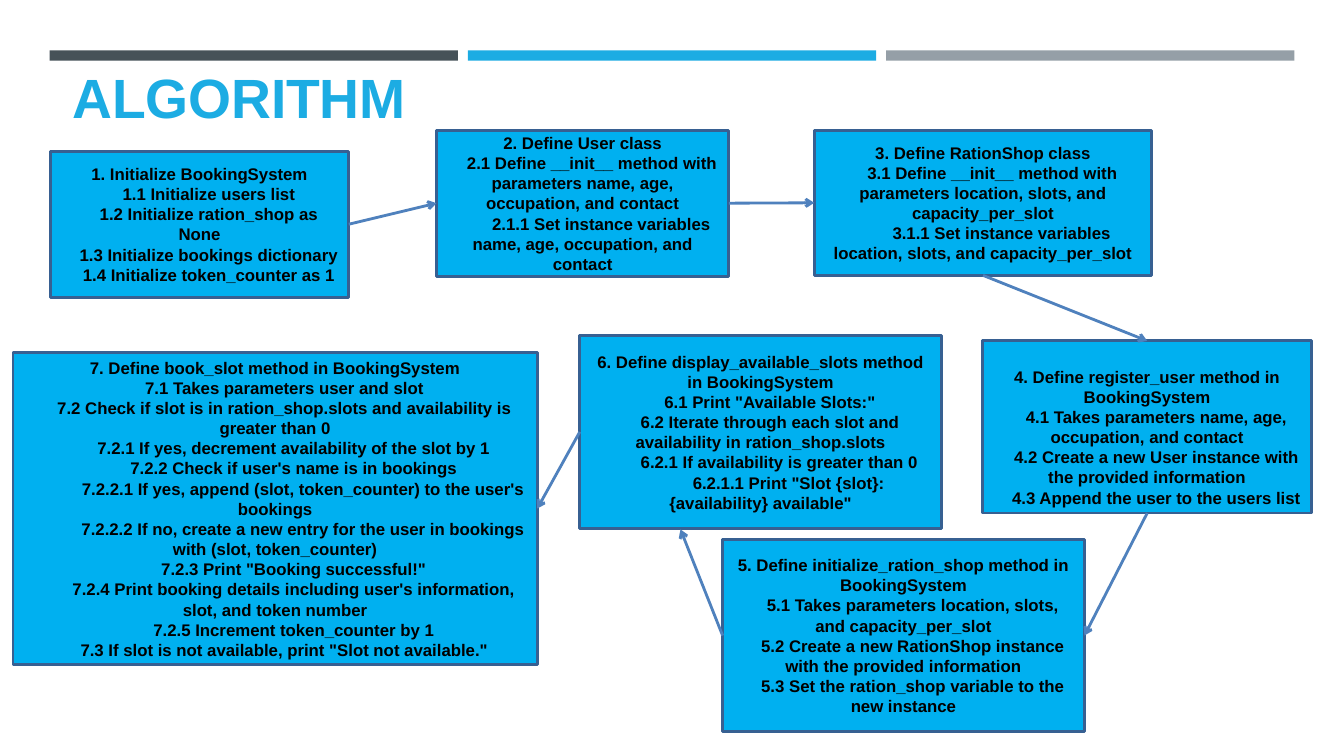
from lxml import etree
from pptx import Presentation
from pptx.dml.color import RGBColor
from pptx.enum.shapes import MSO_CONNECTOR, MSO_SHAPE
from pptx.enum.text import MSO_ANCHOR, PP_ALIGN
from pptx.oxml.ns import qn
from pptx.util import Cm, Pt

RECT = MSO_SHAPE.RECTANGLE
STRAIGHT = MSO_CONNECTOR.STRAIGHT
MIDDLE = MSO_ANCHOR.MIDDLE
CENTER = PP_ALIGN.CENTER
TOP, LEFT, BOTTOM, RIGHT = range(4)

FONT = "Arial"
COLORS = {
    "title": "1CACE3",
    "box": "00B0F0",
    "border": "376092",
    "text": "000000",
    "arrow": "4F81BD",
}
BAR_COLORS = ["465258", "1CACE3", "959FA7"]
TITLE = "ALGORITHM"

STEPS = [
    ((1.27, 3.81, 7.52, 3.68), [
        "1. Initialize BookingSystem",
        "1.1 Initialize users list",
        "1.2 Initialize ration_shop as None",
        "1.3 Initialize bookings dictionary",
        "1.4 Initialize token_counter as 1",
    ]),
    ((11, 3.28, 7.37, 3.68), [
        "2. Define User class",
        "2.1 Define __init__ method with parameters name, age, occupation, and contact",
        "2.1.1 Set instance variables name, age, occupation, and contact",
    ]),
    ((20.52, 3.28, 8.51, 3.66), [
        "3. Define RationShop class",
        "3.1 Define __init__ method with parameters location, slots, and capacity_per_slot",
        "3.1.1 Set instance variables location, slots, and capacity_per_slot",
    ]),
    ((24.77, 8.59, 8.28, 4.34), [
        "4. Define register_user method in BookingSystem",
        "4.1 Takes parameters name, age, occupation, and contact",
        "4.2 Create a new User instance with the provided information",
        "4.3 Append the user to the users list",
    ]),
    ((18.21, 13.59, 9.12, 4.85), [
        "5. Define initialize_ration_shop method in BookingSystem",
        "5.1 Takes parameters location, slots, and capacity_per_slot",
        "5.2 Create a new RationShop instance with the provided information",
        "5.3 Set the ration_shop variable to the new instance",
    ]),
    ((14.61, 8.46, 9.12, 4.85), [
        "6. Define display_available_slots method in BookingSystem",
        '6.1 Print "Available Slots:"',
        "6.2 Iterate through each slot and availability in ration_shop.slots",
        "6.2.1 If availability is greater than 0",
        '6.2.1.1 Print "Slot {slot}: {availability} available"',
    ]),
    ((0.33, 8.89, 13.21, 7.85), [
        "7. Define book_slot method in BookingSystem",
        "7.1 Takes parameters user and slot",
        "7.2 Check if slot is in ration_shop.slots and availability is greater than 0",
        "7.2.1 If yes, decrement availability of the slot by 1",
        "7.2.2 Check if user's name is in bookings",
        "7.2.2.1 If yes, append (slot, token_counter) to the user's bookings",
        "7.2.2.2 If no, create a new entry for the user in bookings with (slot, token_counter)",
        '7.2.3 Print "Booking successful!"',
        "7.2.4 Print booking details including user's information, slot, and token number",
        "7.2.5 Increment token_counter by 1",
        '7.3 If slot is not available, print "Slot not available."',
    ]),
]
LOWERED_STEP, LOWERED_INSET = 4, 0.62
LEVEL_INDENT = Pt(13.34)

ARROW_SITES = [
    (RIGHT, LEFT),
    (RIGHT, LEFT),
    (BOTTOM, TOP),
    (BOTTOM, RIGHT),
    (LEFT, None),
    (LEFT, RIGHT),
]
FREE_END = (17.15, 13.34)


def rgb(value):
    return RGBColor.from_string(value)


def add_rect(s, frame, fill):
    sp = s.shapes.add_shape(RECT, *map(Cm, frame))
    sp.shadow.inherit = False
    sp.fill.solid()
    sp.fill.fore_color.rgb = rgb(fill)
    sp.line.fill.background()
    return sp


def style(p, size, color):
    p.font.name = FONT
    p.font.size = Pt(size)
    p.font.bold = True
    p.font.color.rgb = rgb(color)


def add_title(s):
    tf = s.shapes.add_textbox(Cm(1.83), Cm(1.55), Cm(20.12), Cm(1.73)).text_frame
    tf.word_wrap = True
    tf.margin_left = tf.margin_right = tf.margin_bottom = 0
    tf.margin_top = Cm(0.05)
    p = tf.paragraphs[0]
    p.space_before = Pt(1.3)
    r = p.add_run()
    r.text = TITLE
    style(r, 39.5, COLORS["title"])
    r.font._element.set("spc", "-10")


def add_step(s, number, frame, lines):
    sp = add_rect(s, frame, COLORS["box"])
    sp.line.color.rgb = rgb(COLORS["border"])
    sp.line.width = Pt(2)
    tf = sp.text_frame
    tf.word_wrap = True
    tf.vertical_anchor = MIDDLE
    if number == LOWERED_STEP:
        tf.margin_top = Cm(LOWERED_INSET)
    for i, line in enumerate(lines):
        p = tf.add_paragraph() if i else tf.paragraphs[0]
        p.text = line
        p.alignment = CENTER
        style(p, 12, COLORS["text"])
        level = line.split()[0].rstrip(".").count(".")
        pPr = p._p.get_or_add_pPr()
        pPr.set("marL", "0")
        pPr.set("indent", str(level * LEVEL_INDENT))
    return sp


def add_arrow(s, start, end, start_site, end_site):
    x, y = map(Cm, FREE_END)
    arrow = s.shapes.add_connector(STRAIGHT, x, y, x, y)
    arrow.begin_connect(start, start_site)
    if end_site is not None:
        arrow.end_connect(end, end_site)
    arrow.line.color.rgb = rgb(COLORS["arrow"])
    arrow.line.width = Pt(2)
    etree.SubElement(arrow.line._get_or_add_ln(), qn("a:tailEnd"), type="arrow")
    etree.SubElement(arrow._element.spPr, qn("a:effectLst"))


def main():
    prs = Presentation()
    prs.slide_width, prs.slide_height = Cm(33.87), Cm(19.05)
    s = prs.slides.add_slide(prs.slide_layouts[6])
    for i, color in enumerate(BAR_COLORS):
        add_rect(s, (1.25 + i * 10.54, 1.27, 10.29, 0.26), color)
    add_title(s)
    boxes = [add_step(s, n, *step) for n, step in enumerate(STEPS, 1)]
    for start, end, sites in zip(boxes, boxes[1:], ARROW_SITES):
        add_arrow(s, start, end, *sites)
    prs.save("out.pptx")


if __name__ == "__main__":
    main()
